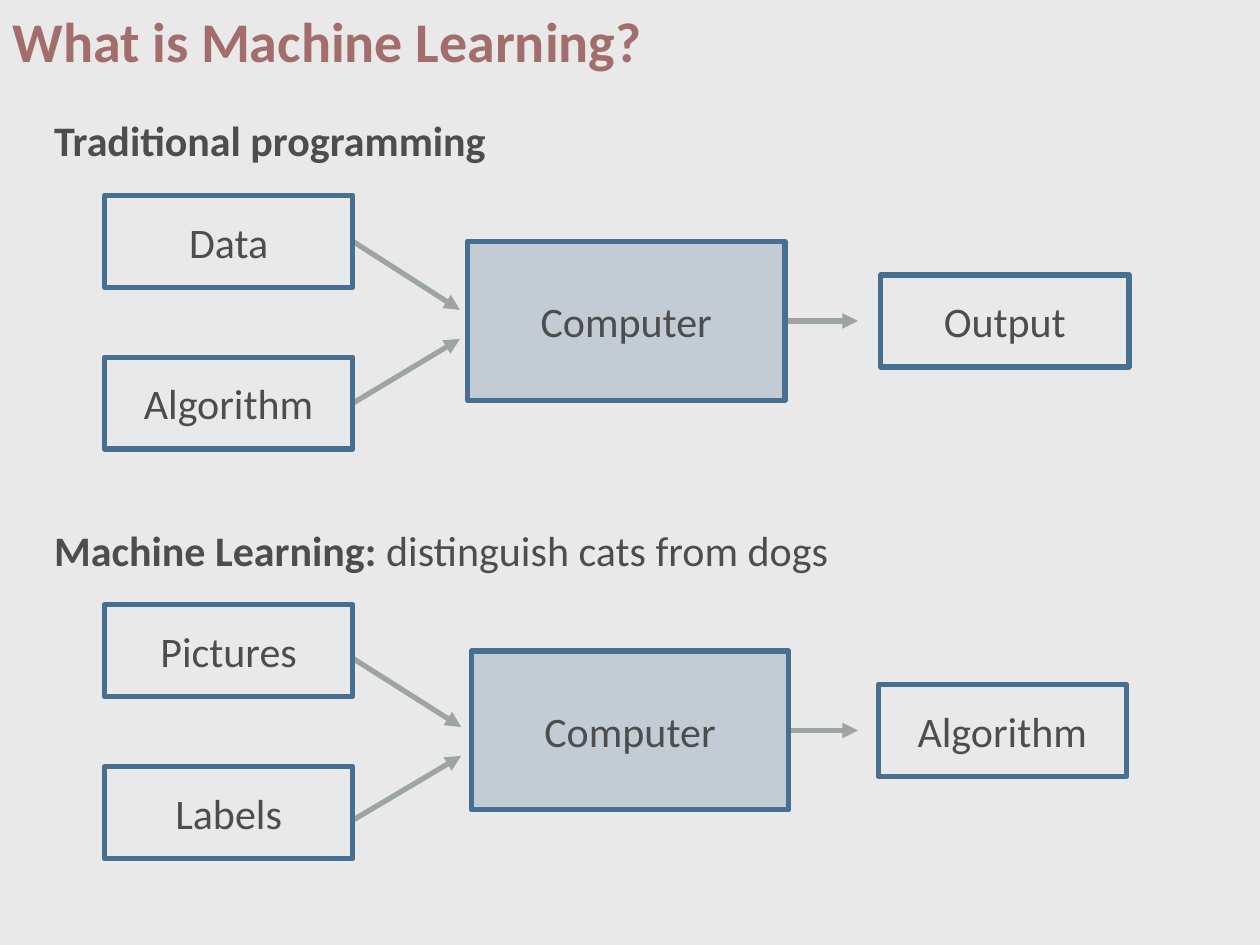
from lxml import etree
from pptx import Presentation
from pptx import util as u
from pptx.dml.color import RGBColor
from pptx.enum import shapes, text
from pptx.oxml.ns import qn

FONT = "Calibri"
BACKGROUND, TITLE, INK = "E9E9E9", "A26D6A", "4D4D4D"
BLUE, GREY = "466F91", "9CA5A2"
LEFT_SIDE, RIGHT_SIDE = 1, 3
INPUT_LEFT = 0.83
BOX_WIDTH, BOX_HEIGHT = 1.97, 0.73
COMPUTER_WIDTH, COMPUTER_HEIGHT = 2.52, 1.26
INPUT_PITCH = 1.285


def color(value):
    return RGBColor.from_string(value)


def add_span(para, words, size=24, ink=INK, bold=False):
    span = para.add_run()
    span.text = words
    font = span.font
    font.name, font.size, font.bold = FONT, u.Pt(size), bold
    font.color.rgb = color(ink)


def add_text(page, box, spans, insets=(0, 0), size=24, ink=INK):
    """Place one line of text; spans are (words, bold) pairs."""
    frame = page.shapes.add_textbox(*map(u.Inches, box)).text_frame
    frame.word_wrap = True
    frame.margin_left, frame.margin_top = map(u.Inches, insets)
    frame.margin_right = frame.margin_bottom = 0
    for words, bold in spans:
        add_span(frame.paragraphs[0], words, size, ink, bold)


def add_box(page, box, label, opacity=None):
    """Place an outlined rectangle, tinted when an opacity in percent is given."""
    rect = page.shapes.add_shape(shapes.MSO_SHAPE.RECTANGLE, *map(u.Inches, box))
    rect.shadow.inherit = False
    rect.line.color.rgb = color(BLUE)
    rect.line.width = u.Pt(3)
    if opacity is None:
        rect.fill.background()
    else:
        rect.fill.solid()
        rect.fill.fore_color.rgb = color(BLUE)
        tint = rect.fill._xPr.find(qn("a:solidFill"))[0]
        etree.SubElement(tint, qn("a:alpha"), val=str(opacity * 1000))
    frame = rect.text_frame
    frame.word_wrap = True
    frame.vertical_anchor = text.MSO_ANCHOR.MIDDLE
    para = frame.paragraphs[0]
    para.alignment = text.PP_ALIGN.CENTER
    add_span(para, label)
    return rect


def add_arrow(page, start, end):
    arrow = page.shapes.add_connector(
        shapes.MSO_CONNECTOR.STRAIGHT, *map(u.Inches, (*start, *end)))
    arrow.line.color.rgb = color(GREY)
    arrow.line.width = u.Pt(3)
    etree.SubElement(arrow.line._get_or_add_ln(), qn("a:tailEnd"), type="triangle")
    etree.SubElement(arrow._element.spPr, qn("a:effectLst"))
    return arrow


def add_diagram(page, top, labels, computer_left, output_left, arrow_tip, drop=0):
    """Two inputs feed a computer, which gives an output.

    drop lowers the input arrows below the middles of their boxes.
    """
    first, second, output = labels
    middle = top + (INPUT_PITCH + BOX_HEIGHT) / 2 - 0.01
    input_right = INPUT_LEFT + BOX_WIDTH
    input_tops = [top, top + INPUT_PITCH]

    # Arrows lie behind the boxes
    input_arrows = [
        add_arrow(page, (input_right, input_top + BOX_HEIGHT / 2 + drop),
                  (arrow_tip, top + tip + drop))
        for input_top, tip in zip(input_tops, (0.91, 1.14))]
    output_arrow = add_arrow(
        page, (computer_left + COMPUTER_WIDTH, middle), (6.81, middle))

    # Boxes
    computer = add_box(
        page, (computer_left, middle - COMPUTER_HEIGHT / 2,
               COMPUTER_WIDTH, COMPUTER_HEIGHT), "Computer", 23)
    inputs = [add_box(page, (INPUT_LEFT, input_top, BOX_WIDTH, BOX_HEIGHT), label)
              for input_top, label in zip(input_tops, (first, second))]
    add_box(page, (output_left, middle - BOX_HEIGHT / 2, BOX_WIDTH, BOX_HEIGHT), output)

    # Joins at the middles of the sides
    output_arrow.begin_connect(computer, RIGHT_SIDE)
    if not drop:
        for arrow, source in zip(input_arrows, inputs):
            arrow.begin_connect(source, RIGHT_SIDE)


def main():
    deck = Presentation()
    deck.slide_width, deck.slide_height = u.Inches(10), u.Inches(7.5)
    page = deck.slides.add_slide(deck.slide_layouts[6])
    page.background.fill.solid()
    page.background.fill.fore_color.rgb = color(BACKGROUND)

    # Title
    add_text(page, (0, 0, 10, 0.68), [("What is Machine Learning?", True)],
             (0.1, 0.05), 32, TITLE)

    # Traditional programming
    add_text(page, (0.43, 0.91, 4.57, 0.86), [("Traditional programming", True)])
    add_diagram(page, 1.55, ("Data", "Algorithm", "Output"), 3.71, 6.99, 3.65)

    # Machine learning
    add_text(page, (0.43, 4.16, 9.57, 0.86),
             [("Machine Learning: ", True), ("distinguish cats from dogs", False)])
    add_diagram(page, 4.8, ("Pictures", "Labels", "Algorithm"), 3.74, 6.97, 3.66, 0.06)

    deck.save("out.pptx")


if __name__ == "__main__":
    main()
